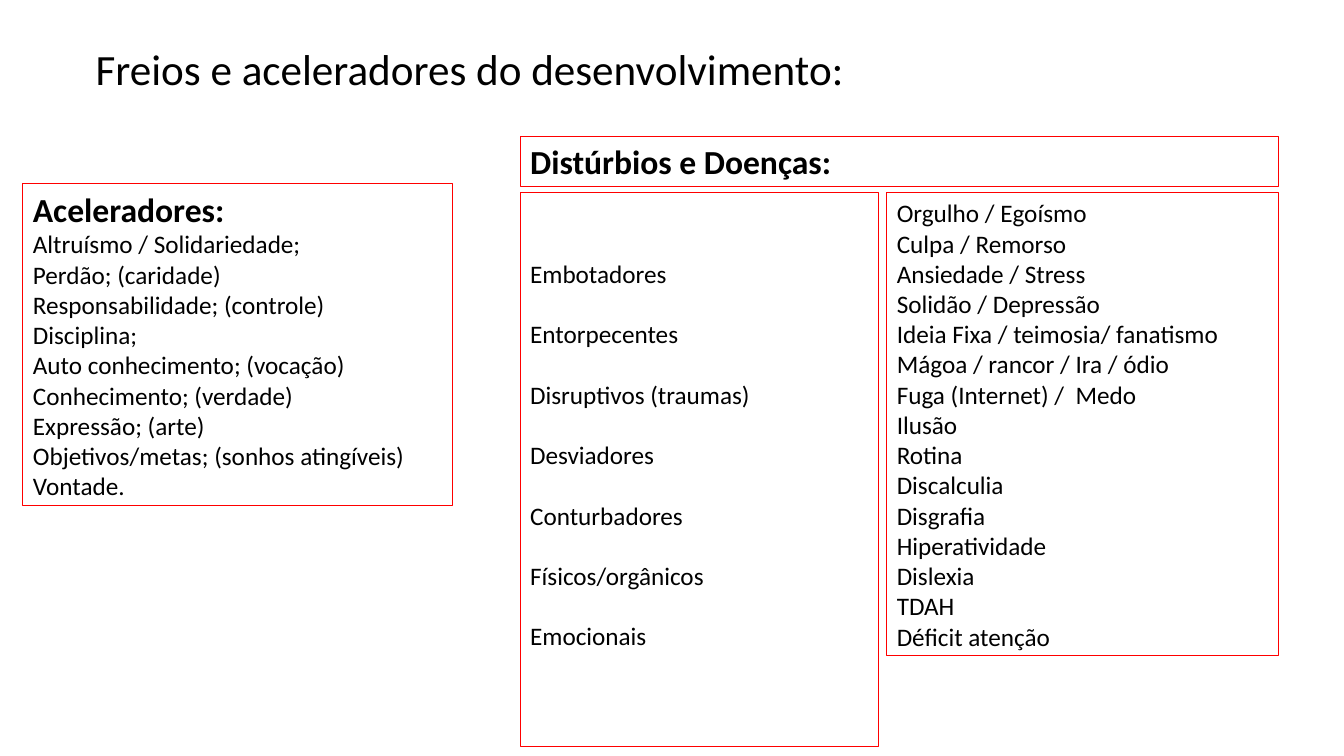
"""Builds a slide on what speeds up and what holds back development."""
from pptx import Presentation
from pptx.dml.color import RGBColor
from pptx.enum.shapes import MSO_SHAPE
from pptx.enum.text import MSO_ANCHOR, PP_ALIGN
from pptx.util import Cm, Pt

RECTANGLE = MSO_SHAPE.RECTANGLE
TOP, MIDDLE = MSO_ANCHOR.TOP, MSO_ANCHOR.MIDDLE
LEFT = PP_ALIGN.LEFT

TITLE = "Freios e aceleradores do desenvolvimento:"
ACCELERATORS_HEADING = "Aceleradores:"
ACCELERATORS = [
    "Altruísmo / Solidariedade;",
    "Perdão; (caridade)",
    "Responsabilidade; (controle)",
    "Disciplina;",
    "Auto conhecimento; (vocação)",
    "Conhecimento; (verdade)",
    "Expressão; (arte)",
    "Objetivos/metas; (sonhos atingíveis)",
    "Vontade.",
]
DISORDERS_HEADING = "Distúrbios e Doenças:"
DISORDER_KINDS = [
    "Embotadores",
    "Entorpecentes",
    "Disruptivos (traumas)",
    "Desviadores",
    "Conturbadores",
    "Físicos/orgânicos",
    "Emocionais",
]
DISORDERS = [
    "Orgulho / Egoísmo",
    "Culpa / Remorso",
    "Ansiedade / Stress",
    "Solidão / Depressão",
    "Ideia Fixa / teimosia/ fanatismo",
    "Mágoa / rancor / Ira / ódio",
    "Fuga (Internet) /  Medo",
    "Ilusão",
    "Rotina",
    "Discalculia",
    "Disgrafia",
    "Hiperatividade",
    "Dislexia",
    "TDAH",
    "Déficit atenção",
]

FONT, BLACK, RED = "Calibri", "000000", "FF0000"
TITLE_SIZE, HEADING_SIZE, BODY_SIZE = 30.8, 24, 18
BODY_LINE = 21.6
INSET_X, INSET_Y = 0.25, 0.13
KINDS_INSET = 1.65
DISORDERS_LEFT, DISORDERS_WIDTH = 13.11, 19.1
COLUMNS_TOP, KINDS_WIDTH, COLUMN_GAP = 4.85, 9.04, 0.2


def color(hex_value):
    return RGBColor.from_string(hex_value)


def write_lines(shape, lines, anchor=TOP, gap=0, spacing=None, top_inset=INSET_Y):
    frame = shape.text_frame
    frame.word_wrap = True
    frame.vertical_anchor = anchor
    frame.margin_left = frame.margin_right = Cm(INSET_X)
    frame.margin_top, frame.margin_bottom = Cm(top_inset), Cm(INSET_Y)
    for index, (text, size, bold) in enumerate(lines):
        paragraph = frame.add_paragraph() if index else frame.paragraphs[0]
        paragraph.alignment = LEFT
        if spacing:
            paragraph.line_spacing = spacing
        if index and gap:
            paragraph.space_before = Pt(gap)
        run = paragraph.add_run()
        run.text = text
        run.font.name = FONT
        run.font.size = Pt(size)
        run.font.bold = bold
        run.font.color.rgb = color(BLACK)


def add_box(slide, left, top, width, height, lines, **layout):
    shape = slide.shapes.add_shape(RECTANGLE, Cm(left), Cm(top), Cm(width), Cm(height))
    shape.shadow.inherit = False
    shape.fill.background()
    shape.line.color.rgb = color(RED)
    shape.line.width = Pt(0)
    write_lines(shape, lines, **layout)


def heading(text):
    return [(text, HEADING_SIZE, True)]


def body(texts):
    return [(text, BODY_SIZE, False) for text in texts]


def main():
    presentation = Presentation()
    presentation.slide_width, presentation.slide_height = Cm(33.87), Cm(19.05)
    slide = presentation.slides.add_slide(presentation.slide_layouts[6])

    title = slide.shapes.add_textbox(Cm(2.16), Cm(0.86), Cm(23.88), Cm(2.06))
    write_lines(title, [(TITLE, TITLE_SIZE, False)], anchor=MIDDLE, spacing=0.7)

    add_box(slide, 0.58, 4.62, 10.82, 8.13,
            heading(ACCELERATORS_HEADING) + body(ACCELERATORS))
    add_box(slide, DISORDERS_LEFT, COLUMNS_TOP, KINDS_WIDTH, 13.97,
            body(DISORDER_KINDS), gap=BODY_LINE, top_inset=KINDS_INSET)
    column_step = KINDS_WIDTH + COLUMN_GAP
    add_box(slide, DISORDERS_LEFT + column_step, COLUMNS_TOP,
            DISORDERS_WIDTH - column_step, 11.68, body(DISORDERS))
    add_box(slide, DISORDERS_LEFT, 3.43, DISORDERS_WIDTH, 1.27,
            heading(DISORDERS_HEADING))

    presentation.save("out.pptx")


if __name__ == "__main__":
    main()
